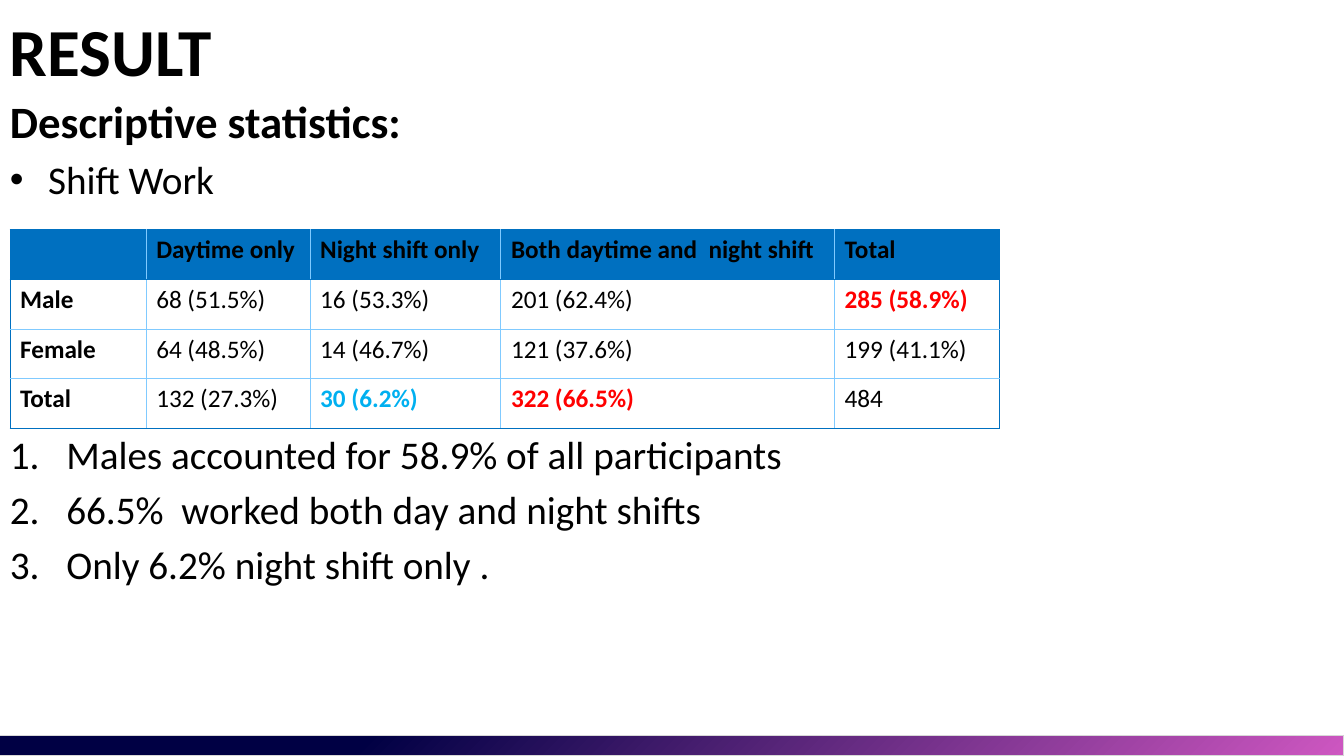
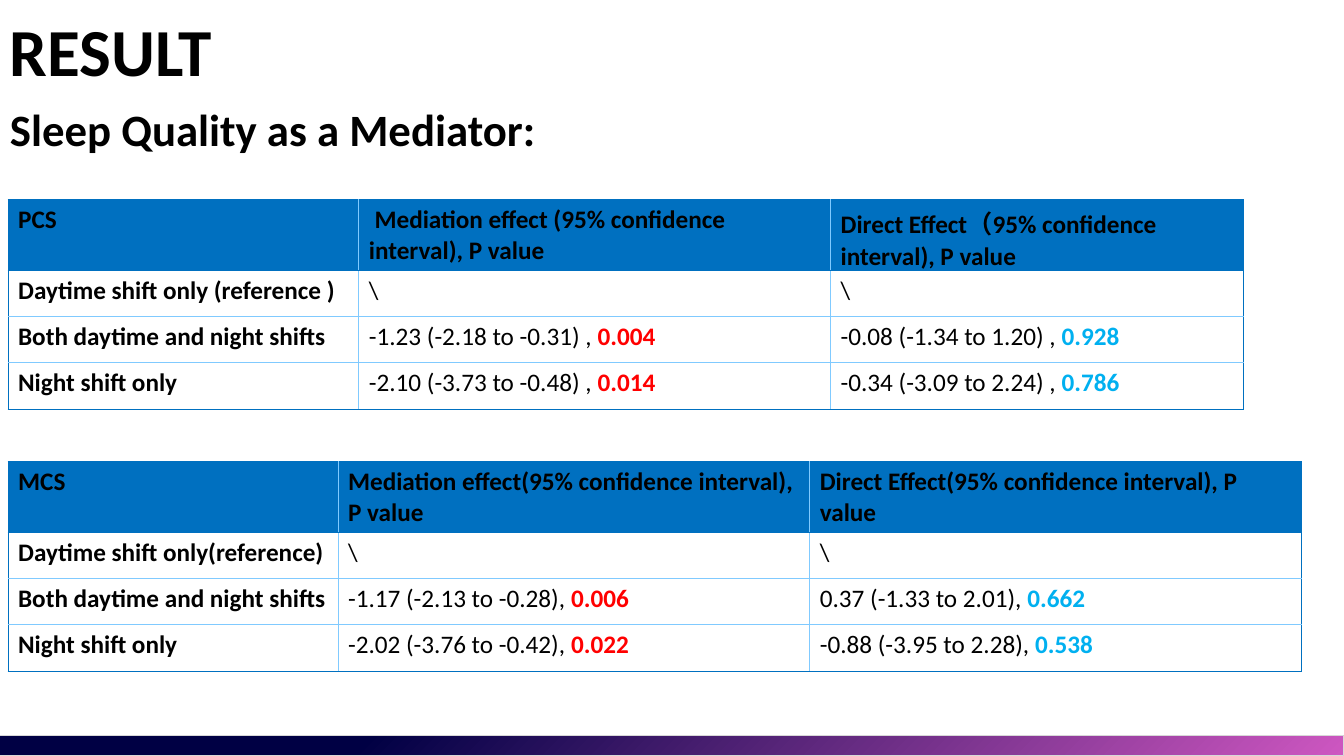
from lxml import etree
from pptx import Presentation
from pptx import util as u
from pptx.dml.color import RGBColor
from pptx.enum import shapes, text
from pptx.oxml import ns

# Shared look
COLORS = {
    "text": "000000", "red": "FF0000", "sky": "00B0F0",
    "header": "0070C0", "grid": "80CAFF",
    "band_start": "000044", "band_end": "CE57C1", "band_line": "D8D8D8",
}
FONT = "Calibri"
TITLE = {"size": u.Pt(48), "bold": True}
HEADING = {"size": u.Pt(32), "bold": True}
BODY = {"size": u.Pt(28), "bold": False}
CELL = {"size": u.Pt(18), "bold": False}
STRONG = {"size": u.Pt(18), "bold": True}
MARKERS = {  # list kind: (hanging indent in columns, element, attributes)
    "bullet": (2.85, "a:buChar", {"char": "•"}),
    "number": (4.2, "a:buAutoNum", {"type": "arabicPeriod"}),
}

deck = Presentation()
deck.slide_width, deck.slide_height = u.Inches(13.33), u.Inches(7.5)
COL, ROW = deck.slide_width / 100, deck.slide_height / 100  # 100 x 100 grid


def write(para, words, formats, color="text"):
    span = para.add_run()
    span.text = words
    span.font.name = FONT
    span.font.color.rgb = RGBColor.from_string(COLORS[color])
    for name, value in formats.items():
        setattr(span.font, name, value)


def add_element(parent, tag, **attributes):
    return etree.SubElement(parent, ns.qn(tag), attributes)


# Content: a table cell is plain text or (plain part, strong part, colour)
title_box = (0.53, 54, 10, [("RESULT", TITLE, None)])
pages = [
    {
        "boxes": [
            title_box,
            (11.73, 99, 16, [
                ("Descriptive statistics:", HEADING, None),
                ("Shift Work", BODY, "bullet"),
            ]),
            (56.27, 99, 24, [
                ("Males accounted for 58.9% of all participants", BODY, "number"),
                ("66.5%  worked both day and night shifts", BODY, "number"),
                ("Only 6.2% night shift only .", BODY, "number"),
            ]),
        ],
        "tables": [{
            "left": 0.75, "top": 30.4, "columns": [10.13, 12.2, 14.2, 24.83, 12.3],
            "header_height": 6.57, "row_height": 6.57,
            "rows": [
                ["", "Daytime only", "Night shift only",
                 "Both daytime and  night shift", "Total"],
                ["Male", "68 (51.5%)", "16 (53.3%)", "201 (62.4%)",
                 ("", "285 (58.9%)", "red")],
                ["Female", "64 (48.5%)", "14 (46.7%)", "121 (37.6%)", "199 (41.1%)"],
                ["Total", "132 (27.3%)", ("", "30 (6.2%)", "sky"),
                 ("", "322 (66.5%)", "red"), "484"],
            ],
        }],
    },
    {
        "boxes": [
            title_box,
            (12.8, 99, 10, [("Sleep Quality as a Mediator:", HEADING, None)]),
        ],
        "tables": [
            {
                "left": 0.6, "top": 26.4, "columns": [26.1, 35.1, 30.7],
                "header_height": 9.33, "row_height": 6.13,
                "rows": [
                    ["PCS", " Mediation effect (95% confidence interval), P value",
                     "Direct Effect（95% confidence interval), P value"],
                    ["Daytime shift only (reference )", "\\", "\\"],
                    ["Both daytime and night shifts",
                     ("-1.23 (-2.18 to -0.31) , ", "0.004", "red"),
                     ("-0.08 (-1.34 to 1.20) , ", "0.928", "sky")],
                    ["Night shift only",
                     ("-2.10 (-3.73 to -0.48) , ", "0.014", "red"),
                     ("-0.34 (-3.09 to 2.24) , ", "0.786", "sky")],
                ],
            },
            {
                "left": 0.6, "top": 61.07, "columns": [24.55, 35.1, 36.6],
                "header_height": 9.33, "row_height": 6.13,
                "rows": [
                    ["MCS", "Mediation effect(95% confidence interval), P value",
                     "Direct Effect(95% confidence interval), P value"],
                    ["Daytime shift only(reference)", "\\", "\\"],
                    ["Both daytime and night shifts",
                     ("-1.17 (-2.13 to -0.28), ", "0.006", "red"),
                     ("0.37 (-1.33 to 2.01), ", "0.662", "sky")],
                    ["Night shift only",
                     ("-2.02 (-3.76 to -0.42), ", "0.022", "red"),
                     ("-0.88 (-3.95 to 2.28), ", "0.538", "sky")],
                ],
            },
        ],
    },
]

for content in pages:
    page = deck.slides.add_slide(deck.slide_layouts[6])

    # Bottom band
    band = page.shapes.add_shape(
        shapes.MSO_SHAPE.RECTANGLE, 0, int(97.33 * ROW),
        deck.slide_width, int(2.67 * ROW))
    band.shadow.inherit = False
    band.line.color.rgb = RGBColor.from_string(COLORS["band_line"])
    band.line.width = u.Pt(0.75)
    band.fill.gradient()
    band.fill.gradient_angle = 315
    stops = [(0.27, "band_start"), (1, "band_end")]
    for stop, (position, color) in zip(band.fill.gradient_stops, stops):
        stop.position = position
        stop.color.rgb = RGBColor.from_string(COLORS[color])

    # Title and body text
    for top, width, height, lines in content["boxes"]:
        box = page.shapes.add_textbox(
            0, int(top * ROW), int(width * COL), int(height * ROW))
        frame = box.text_frame
        frame.word_wrap = True
        frame.vertical_anchor = text.MSO_ANCHOR.TOP
        for index, (words, formats, marker) in enumerate(lines):
            para = frame.add_paragraph() if index else frame.paragraphs[0]
            para.space_before = u.Pt(5.6 if index else 0)
            if marker:
                indent, tag, attributes = MARKERS[marker]
                props = para._p.get_or_add_pPr()
                props.set("marL", str(int(indent * COL)))
                props.set("indent", str(-int(indent * COL)))
                add_element(props, "a:buFont", typeface="Arial" if marker == "bullet" else FONT)
                add_element(props, tag, **attributes)
            write(para, words, formats)

    # Tables: dark outline and header, light inner lines
    for spec_table in content["tables"]:
        rows, columns = spec_table["rows"], spec_table["columns"]
        heights = [spec_table["header_height"]]
        heights += [spec_table["row_height"]] * (len(rows) - 1)
        table = page.shapes.add_table(
            len(rows), len(columns),
            int(spec_table["left"] * COL), int(spec_table["top"] * ROW),
            int(sum(columns) * COL), int(sum(heights) * ROW)).table
        table.first_row = table.horz_banding = False
        for column, width in zip(table.columns, columns):
            column.width = int(width * COL)
        for r, (row, height) in enumerate(zip(rows, heights)):
            table.rows[r].height = int(height * ROW)
            for c, value in enumerate(row):
                cell = table.cell(r, c)
                dark_sides = {
                    "L": c == 0, "R": c == len(row) - 1,
                    "T": r <= 1, "B": r in (0, len(rows) - 1),
                }
                props = cell._tc.get_or_add_tcPr()
                for side, dark in dark_sides.items():
                    line = add_element(props, f"a:ln{side}", w=str(u.Pt(0.75)))
                    fill = add_element(line, "a:solidFill")
                    add_element(fill, "a:srgbClr",
                                val=COLORS["header" if dark else "grid"])
                if r == 0:
                    cell.fill.solid()
                    cell.fill.fore_color.rgb = RGBColor.from_string(COLORS["header"])
                else:
                    cell.fill.background()
                para = cell.text_frame.paragraphs[0]
                if isinstance(value, tuple):
                    plain, strong, color = value
                    if plain:
                        write(para, plain, CELL)
                    write(para, strong, STRONG, color)
                elif value:
                    write(para, value, STRONG if r == 0 or c == 0 else CELL)

deck.save("out.pptx")
